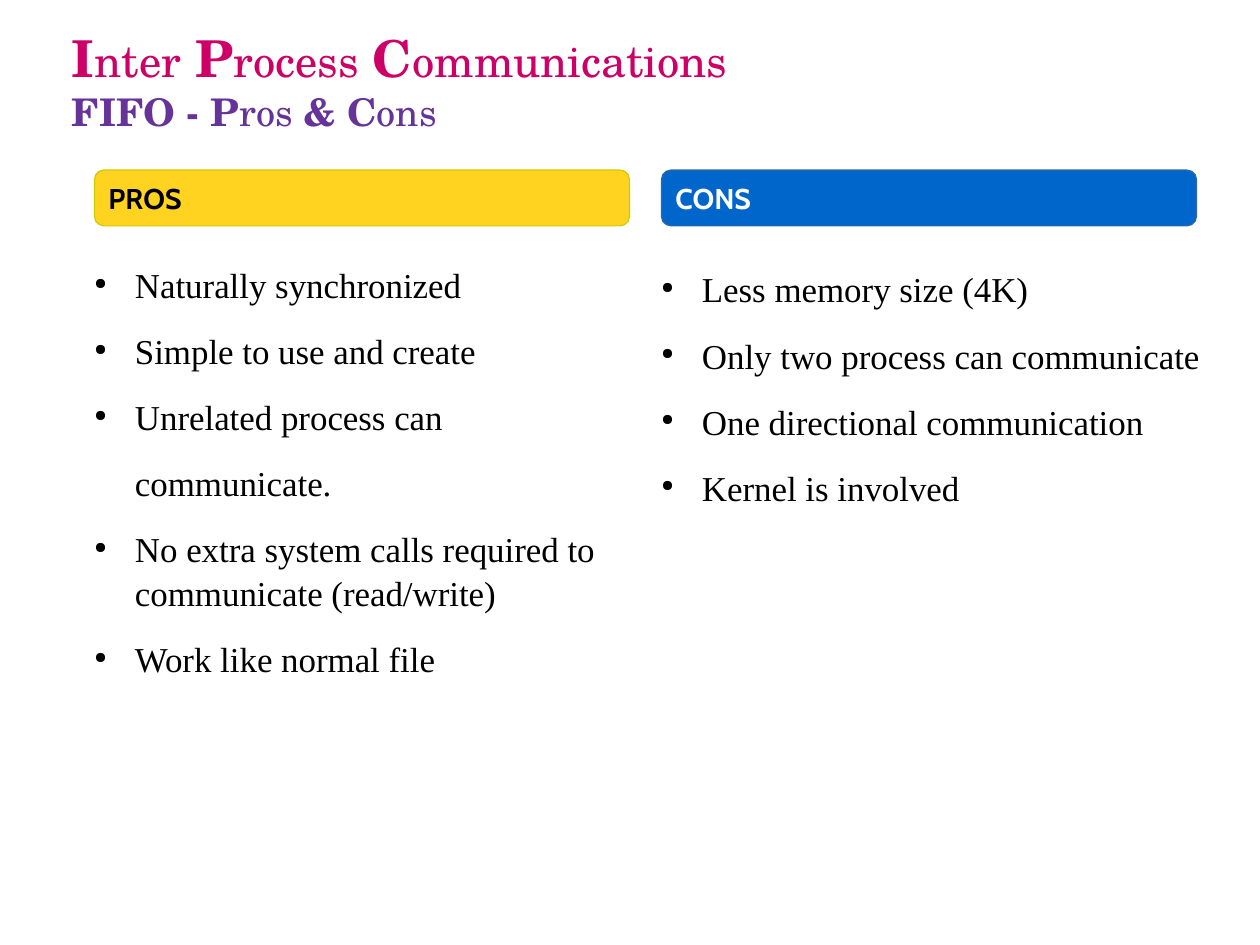
"""Build the slide on the pros and cons of FIFO communication."""
from pptx import Presentation
from pptx.dml.color import RGBColor
from pptx.enum.shapes import MSO_SHAPE
from pptx.enum.text import MSO_ANCHOR, MSO_AUTO_SIZE, PP_ALIGN
from pptx.oxml.ns import qn
from pptx.util import Cm, Pt
from lxml import etree

ROUNDED = MSO_SHAPE.ROUNDED_RECTANGLE
MIDDLE = MSO_ANCHOR.MIDDLE
LEFT = PP_ALIGN.LEFT
NO_AUTOFIT = MSO_AUTO_SIZE.NONE

BLACK = RGBColor(0, 0, 0)
WHITE = RGBColor(255, 255, 255)
PINK = RGBColor(0xCC, 0x00, 0x66)
PURPLE = RGBColor(0x66, 0x33, 0x99)
YELLOW = RGBColor(0xFF, 0xD3, 0x20)
OLIVE = RGBColor(0xCC, 0xCC, 0x00)
BLUE = RGBColor(0x00, 0x66, 0xCC)
STEEL = RGBColor(0x34, 0x65, 0xA4)

TITLE_LINES = [
    (PINK, [("I", 32, True), ("nter", 28, False), (" ", 32, False),
            ("P", 32, True), ("rocess", 28, False), (" ", 32, False),
            ("C", 32, True), ("ommunications", 28, False)]),
    (PURPLE, [("FIFO - P", 24, True), ("ros", 24, False),
              (" & C", 24, True), ("ons", 24, False)]),
]
CONTINUATION = "communicate."
COLUMNS = [
    {"heading": "PROS", "fill": YELLOW, "line": OLIVE, "ink": BLACK, "top": 5.82,
     "points": ["Naturally synchronized", "Simple to use and create",
                "Unrelated process can", CONTINUATION,
                "No extra system calls required to communicate (read/write)",
                "Work like normal file"]},
    {"heading": "CONS", "fill": BLUE, "line": STEEL, "ink": WHITE, "top": 5.92,
     "points": ["Less memory size (4K)", "Only two process can communicate",
                "One directional communication", "Kernel is involved"]},
]
COLUMN_STEP = 12.6
BODY_BOTTOM = 18.7


def style(span, font, size, color, bold=False):
    span.font.name = font
    span.font.size = Pt(size)
    span.font.bold = bold
    span.font.color.rgb = color


def clear_margins(frame):
    frame.margin_left = frame.margin_right = frame.margin_top = frame.margin_bottom = 0
    frame.word_wrap = True


def fill_title(title):
    title.left, title.top, title.width, title.height = Cm(1.6), Cm(0.03), Cm(25.02), Cm(3.51)
    frame = title.text_frame
    clear_margins(frame)
    frame.auto_size = NO_AUTOFIT
    frame.vertical_anchor = MIDDLE
    para = frame.paragraphs[0]
    para.alignment = LEFT
    for number, (color, spans) in enumerate(TITLE_LINES):
        if number:
            para.add_line_break()
        for text, size, bold in spans:
            span = para.add_run()
            span.text = text
            style(span, "TeX Gyre Schola", size, color, bold)


def add_heading(page, column, offset):
    bar = page.shapes.add_shape(ROUNDED, Cm(2.1 + offset), Cm(3.78), Cm(11.89), Cm(1.24))
    bar.adjustments[0] = 0.17
    bar.shadow.inherit = False
    bar.fill.solid()
    bar.fill.fore_color.rgb = column["fill"]
    bar.line.color.rgb = column["line"]
    bar.line.width = 0
    frame = bar.text_frame
    frame.text = column["heading"]
    frame.vertical_anchor = MIDDLE
    para = frame.paragraphs[0]
    para.alignment = LEFT
    style(para.runs[0], "Cabin", 18, column["ink"], True)


def indent(para, bulleted):
    properties = para._p.get_or_add_pPr()
    properties.set("marL", str(Cm(1.2)))
    properties.set("indent", str(Cm(-0.9) if bulleted else 0))
    if bulleted:
        color = etree.SubElement(properties, qn("a:buClr"))
        etree.SubElement(color, qn("a:srgbClr"), val=str(BLACK))
        etree.SubElement(properties, qn("a:buSzPct"), val="45000")
        etree.SubElement(properties, qn("a:buChar"), char="●")


def add_points(page, column, offset):
    top = column["top"]
    box = page.shapes.add_textbox(Cm(1.8 + offset), Cm(top), Cm(12.3), Cm(BODY_BOTTOM - top))
    frame = box.text_frame
    clear_margins(frame)
    frame.text = "\n".join(column["points"])
    for para in frame.paragraphs:
        indent(para, para.text != CONTINUATION)
        para.space_after = Pt(14.2)
        para.line_spacing = 1.04
        style(para.runs[0], "Times New Roman", 22, BLACK)


def main():
    deck = Presentation()
    deck.slide_width, deck.slide_height = Cm(28), Cm(21)
    page = deck.slides.add_slide(deck.slide_layouts[5])
    fill_title(page.shapes.title)
    for number, column in enumerate(COLUMNS):
        add_heading(page, column, number * COLUMN_STEP)
        add_points(page, column, number * COLUMN_STEP)
    deck.save("out.pptx")


if __name__ == "__main__":
    main()
